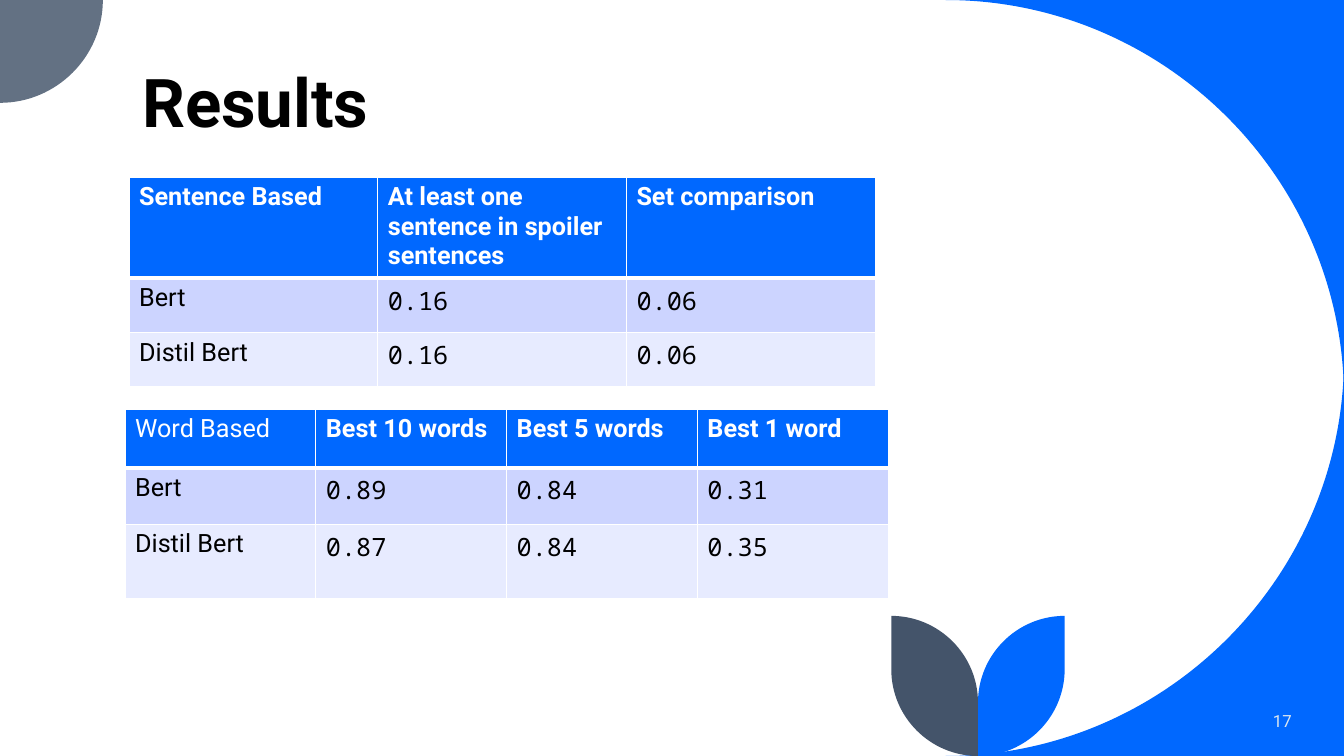
"""Build the results slide with two score tables."""
from dataclasses import dataclass

from lxml import etree
from pptx import Presentation
from pptx import util as u
from pptx.dml.color import RGBColor
from pptx.enum import text
from pptx.oxml.ns import qn


@dataclass(frozen=True)
class Theme:
    blue: str = "0068FF"
    slate: str = "637183"
    navy: str = "44546A"
    pale: str = "DAE5EF"
    white: str = "FFFFFF"
    black: str = "000000"
    bands: tuple = ("CCD4FF", "E7EBFF")
    font: str = "Roboto"
    mono: str = "Noto Sans Mono"
    title_size: int = 48
    table_size: int = 18
    number_size: int = 12
    rule: int = 1
    header_rule: int = 3
    roundness: float = 0.55


class SlideBuilder:
    def __init__(self, page, theme):
        self.page = page
        self.theme = theme

    def style(self, para, size, color, bold=False, font=None):
        para.font.name = font or self.theme.font
        para.font.size = u.Pt(size)
        para.font.bold = bold
        para.font.color.rgb = RGBColor.from_string(color)

    def outline(self, points, corners, color):
        vertices = [(u.Inches(x), u.Inches(y)) for x, y in points]
        builder = self.page.shapes.build_freeform(*vertices[0])
        builder.add_line_segments(vertices[1:], close=True)
        shape = builder.convert_to_shape()
        shape.shadow.inherit = False
        shape.fill.solid()
        shape.fill.fore_color.rgb = RGBColor.from_string(color)
        shape.line.fill.background()
        segments = list(shape.element.iter(qn("a:lnTo")))
        for index, (x, y) in corners.items():
            corner = u.Inches(x), u.Inches(y)
            ends = vertices[index - 1], vertices[index]
            self.bend(segments[index - 1], ends, corner, (shape.left, shape.top))

    def bend(self, segment, ends, corner, origin):
        segment.tag = qn("a:cubicBezTo")
        controls = [[e + self.theme.roundness * (c - e) for e, c in zip(end, corner)]
                    for end in ends]
        for position, control in enumerate(controls):
            x, y = (str(round(value - start)) for value, start in zip(control, origin))
            segment.insert(position, etree.Element(qn("a:pt"), x=x, y=y))

    def title(self, wording, left, top, width, height):
        title = self.page.shapes.title
        title.element.getparent().append(title.element)
        title.left, title.top = u.Inches(left), u.Inches(top)
        title.width, title.height = u.Inches(width), u.Inches(height)
        frame = title.text_frame
        frame.text = wording
        frame.vertical_anchor = text.MSO_ANCHOR.BOTTOM
        para = frame.paragraphs[0]
        para.alignment = text.PP_ALIGN.LEFT
        para.line_spacing = 0.9
        self.style(para, self.theme.title_size, self.theme.black, bold=True)

    def page_number(self, wording, left, top, width, height):
        box = self.page.shapes.add_textbox(*map(u.Inches, (left, top, width, height)))
        frame = box.text_frame
        frame.word_wrap = True
        frame.vertical_anchor = text.MSO_ANCHOR.MIDDLE
        para = frame.paragraphs[0]
        para.text = wording
        para.alignment = text.PP_ALIGN.RIGHT
        self.style(para, self.theme.number_size, self.theme.pale)

    def border(self, cell, side, points):
        properties = cell._tc.get_or_add_tcPr()
        line = etree.SubElement(properties, qn(f"a:ln{side}"), w=str(u.Pt(points)))
        fill = etree.SubElement(line, qn("a:solidFill"))
        etree.SubElement(fill, qn("a:srgbClr"), val=self.theme.white)

    def cell(self, cell, wording, row, column, bold_corner):
        theme = self.theme
        top = theme.header_rule if row == 1 else theme.rule
        bottom = theme.header_rule if row == 0 else theme.rule
        for side, points in zip("LRTB", (theme.rule, theme.rule, top, bottom)):
            self.border(cell, side, points)
        cell.fill.solid()
        fill = theme.blue if row == 0 else theme.bands[(row - 1) % 2]
        cell.fill.fore_color.rgb = RGBColor.from_string(fill)
        cell.text = wording
        para = cell.text_frame.paragraphs[0]
        if row == 0:
            self.style(para, theme.table_size, theme.white, bold=column > 0 or bold_corner)
        else:
            font = theme.mono if column else theme.font
            self.style(para, theme.table_size, theme.black, font=font)

    def table(self, rows, left, top, width, height, heights, bold_corner=True):
        count = len(rows[0])
        frame = self.page.shapes.add_table(
            len(rows), count, *map(u.Inches, (left, top, width, height)))
        table = frame.table
        for r, (values, row_height) in enumerate(zip(rows, heights)):
            table.rows[r].height = u.Inches(row_height)
            for c, wording in enumerate(values):
                self.cell(table.cell(r, c), wording, r, c, bold_corner)
        frame.height = u.Inches(height)


def main():
    theme = Theme()
    deck = Presentation()
    deck.slide_width, deck.slide_height = u.Inches(13.33), u.Inches(7.5)
    slide = SlideBuilder(deck.slides.add_slide(deck.slide_layouts[5]), theme)

    right, bottom = 13.33, 7.5
    slide.outline([(right, 0), (9.38, 0), (right, 3.95)], {2: (right, 0)}, theme.blue)
    slide.outline([(right, 3.55), (9.38, bottom), (right, bottom)],
                  {1: (right, bottom)}, theme.blue)
    slide.outline([(0, 0), (1.02, 0), (0, 1.02)], {2: (1.02, 1.02)}, theme.slate)

    stem, leaf_top = 9.7, 6.11
    for tip, color in ((10.56, theme.blue), (8.84, theme.navy)):
        slide.outline(
            [(tip, leaf_top), (tip, 6.64), (stem, bottom), (stem, 6.97), (tip, leaf_top)],
            {2: (tip, bottom), 4: (stem, leaf_top)}, color)

    slide.title("Results", 1.31, 0.01, 10.69, 1.45)
    slide.page_number("17", 11.1, 6.95, 1.81, 0.4)
    slide.table([
        ("Sentence Based", "At least one sentence in spoiler sentences", "Set comparison"),
        ("Bert", "0.16", "0.06"),
        ("Distil Bert", "0.16", "0.06"),
    ], 1.28, 1.76, 7.4, 2.08, (0.37, 0.54, 0.54))
    slide.table([
        ("Word Based", "Best 10 words", "Best 5 words", "Best 1 word"),
        ("Bert", "0.89", "0.84", "0.31"),
        ("Distil Bert", "0.87", "0.84", "0.35"),
    ], 1.24, 4.06, 7.57, 1.88, (0.58, 0.56, 0.74), bold_corner=False)

    deck.save("out.pptx")


if __name__ == "__main__":
    main()
